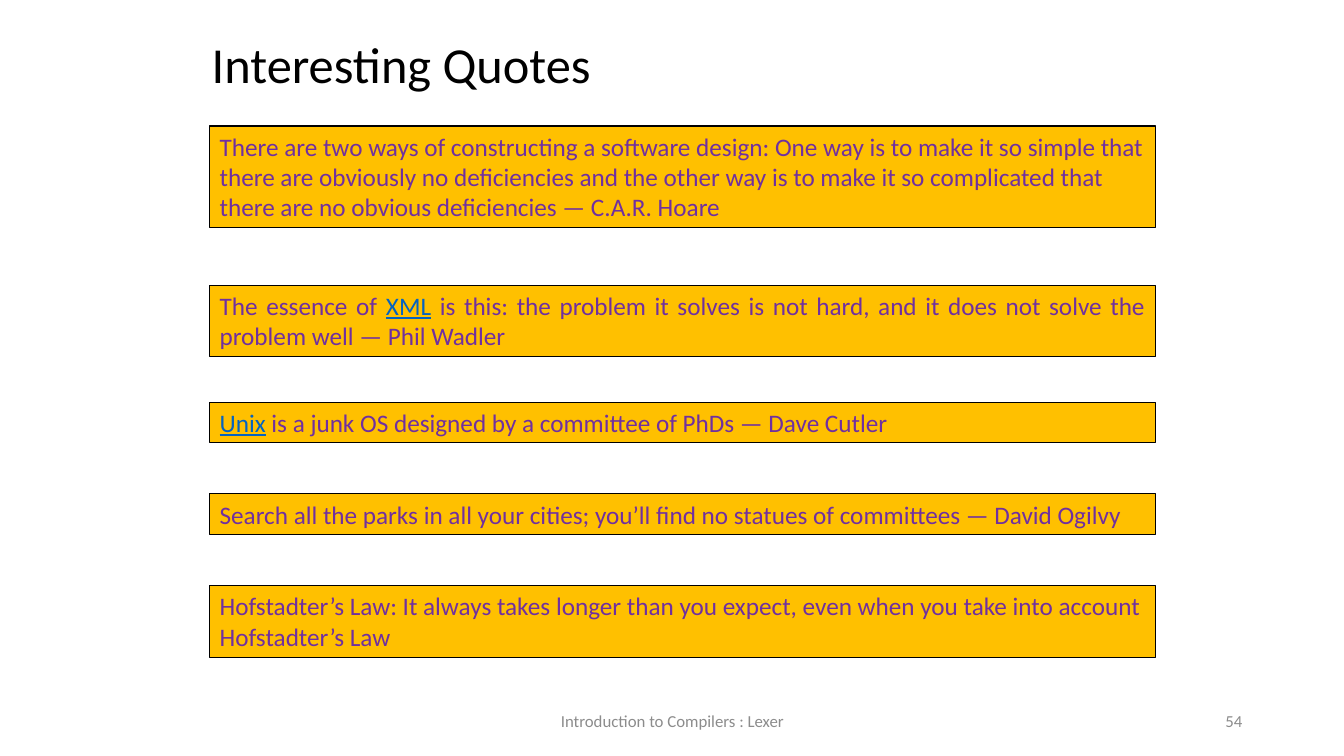
import pptx
import pptx.dml.color
import pptx.enum.shapes
import pptx.enum.text
import pptx.util
from pptx.util import Inches

ALIGN = pptx.enum.text.PP_ALIGN
ANCHOR = pptx.enum.text.MSO_ANCHOR

PURPLE = "7030A0"
LINK_BLUE = "0563C1"
AMBER = "FFC000"
BLACK = "000000"
GREY = "8C8C8C"


def color(hex_code):
    return pptx.dml.color.RGBColor.from_string(hex_code)


class QuoteSlide:
    """Holds the text style and the slide being filled."""

    font_name = "Calibri"

    def __init__(self, deck):
        self.page = deck.slides.add_slide(deck.slide_layouts[5])

    def add_text(self, shape, spans, size, align=ALIGN.LEFT, anchor=ANCHOR.TOP):
        """Fill a shape with one paragraph of (text, colour, underlined) spans."""
        frame = shape.text_frame
        frame.word_wrap = True
        frame.auto_size = pptx.enum.text.MSO_AUTO_SIZE.NONE
        frame.vertical_anchor = anchor
        para = frame.paragraphs[0]
        para.alignment = align
        for text, hex_code, underlined in spans:
            span = para.add_run()
            span.text = text
            span.font.name = self.font_name
            span.font.size = pptx.util.Pt(size)
            span.font.color.rgb = color(hex_code)
            span.font.underline = underlined

    def title(self, text, left, top, width, height):
        box = self.page.shapes.title
        box.left, box.top = Inches(left), Inches(top)
        box.width, box.height = Inches(width), Inches(height)
        self.add_text(box, [(text, BLACK, False)], 36)

    def footer(self, text, left, width, align):
        box = self.page.shapes.add_textbox(
            Inches(left), Inches(6.95), Inches(width), Inches(0.4))
        self.add_text(box, [(text, GREY, False)], 12, align, ANCHOR.MIDDLE)

    def quote(self, top, height, spans, align=ALIGN.LEFT):
        box = self.page.shapes.add_shape(
            pptx.enum.shapes.MSO_SHAPE.RECTANGLE,
            Inches(2.08), Inches(top), Inches(9.38), Inches(height))
        box.shadow.inherit = False
        box.fill.solid()
        box.fill.fore_color.rgb = color(AMBER)
        box.line.color.rgb = color(BLACK)
        box.line.width = pptx.util.Pt(0.75)
        self.add_text(box, spans, 18, align)


def plain(text):
    return text, PURPLE, False


def linked(text):
    return text, LINK_BLUE, True


def main():
    deck = pptx.Presentation()
    deck.slide_width, deck.slide_height = Inches(13.33), Inches(7.5)
    slide = QuoteSlide(deck)

    slide.title("Interesting Quotes", 2, 0.28, 8.5, 0.71)
    slide.quote(1.25, 1.01, [plain(
        "There are two ways of constructing a software design: One way is to "
        "make it so simple that there are obviously no deficiencies and the "
        "other way is to make it so complicated that there are no obvious "
        "deficiencies — C.A.R. Hoare")])
    slide.quote(2.83, 0.71, [
        plain("The essence of "),
        linked("XML"),
        plain(" is this: the problem it solves is not hard, and it does not "
              "solve the problem well — Phil Wadler")], ALIGN.JUSTIFY)
    slide.quote(3.99, 0.4, [
        linked("Unix"),
        plain(" is a junk OS designed by a committee of PhDs — Dave Cutler")])
    slide.quote(4.9, 0.4, [plain(
        "Search all the parks in all your cities; you’ll find no statues of "
        "committees — David Ogilvy")])
    slide.quote(5.81, 0.71, [plain(
        "Hofstadter’s Law: It always takes longer than you expect, even when "
        "you take into account Hofstadter’s Law")])
    slide.footer("Introduction to Compilers : Lexer", 4.42, 4.5, ALIGN.CENTER)
    slide.footer("54", 9.42, 3, ALIGN.RIGHT)

    deck.save("out.pptx")


if __name__ == "__main__":
    main()
